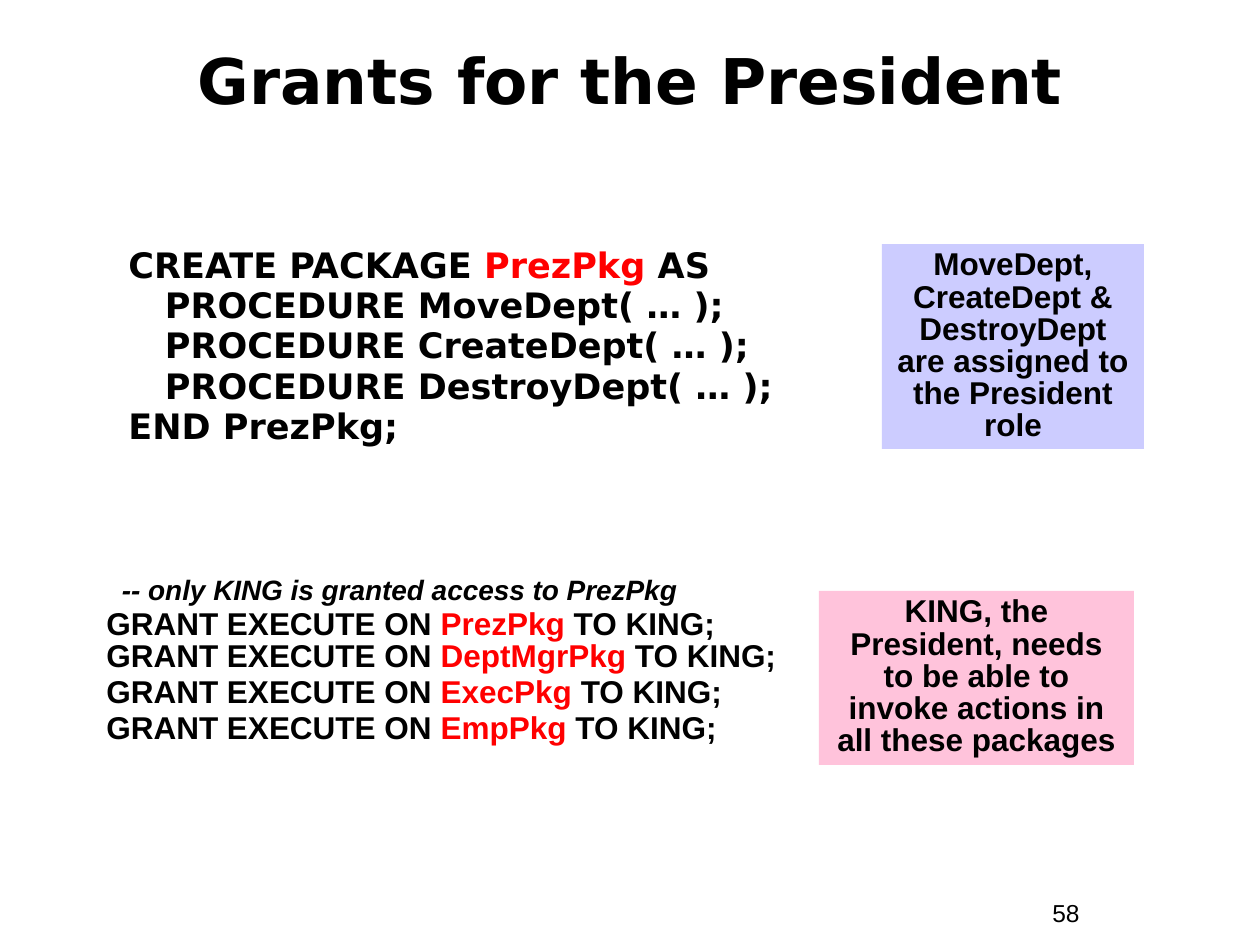
"""Build the slide on package grants for the President."""
import pptx
import pptx.dml.color
import pptx.enum.shapes
import pptx.enum.text
import pptx.util

RGB = pptx.dml.color.RGBColor
BLACK = RGB(0, 0, 0)
RED = RGB(255, 0, 0)
PINK = RGB(255, 195, 219)
BLUE = RGB(204, 204, 255)
SCALE = 914400 / 126
LEFT = pptx.enum.text.PP_ALIGN.LEFT
MID = pptx.enum.text.PP_ALIGN.CENTER
SANS = "DejaVu Sans"


class Deck:
    def __init__(self, wide, high):
        self.show = pptx.Presentation()
        self.show.slide_width, self.show.slide_height = self.emu(wide, high)
        self.slide = self.show.slides.add_slide(self.show.slide_layouts[6])

    def emu(self, *px):
        return [round(n * SCALE) for n in px]

    def runs(self, para, line):
        for num, part in enumerate(line.split("|")):
            for row, words in enumerate(part.split("\n")):
                if row:
                    para.add_line_break()
                run = para.add_run()
                run.text = words
                if num % 2:
                    run.font.color.rgb = RED

    def fill(self, frame, lines, size, face="Arial", bold=True,
             align=LEFT, space=None, gap=0):
        frame.word_wrap = True
        for num, line in enumerate(lines):
            para = frame.paragraphs[0] if num == 0 else frame.add_paragraph()
            para.alignment = align
            if space:
                para.line_spacing = space
            if num:
                para.space_before = pptx.util.Pt(gap)
            para.font.name = face
            para.font.size = pptx.util.Pt(size)
            para.font.bold = bold
            para.font.color.rgb = BLACK
            self.runs(para, line)

    def text(self, box, lines, size, **style):
        frame = self.slide.shapes.add_textbox(*self.emu(*box)).text_frame
        self.fill(frame, lines, size, **style)
        return frame

    def note(self, box, words, shade):
        kind = pptx.enum.shapes.MSO_SHAPE.RECTANGLE
        shape = self.slide.shapes.add_shape(kind, *self.emu(*box))
        shape.shadow.inherit = False
        shape.fill.solid()
        shape.fill.fore_color.rgb = shade
        shape.line.fill.background()
        shape.text_frame.vertical_anchor = pptx.enum.text.MSO_ANCHOR.TOP
        self.fill(shape.text_frame, [words], 18, align=MID, space=0.85)


def grant(name):
    return f"GRANT EXECUTE ON |{name}| TO KING;"


def main():
    deck = Deck(1260, 945)
    deck.text((1040, 892, 116, 43), ["58"], 14, bold=False)
    title = deck.text((42, 21, 1176, 116), ["Grants for the President"], 36,
                      face=SANS, align=MID)
    title.vertical_anchor = pptx.enum.text.MSO_ANCHOR.MIDDLE
    procs = [f"   PROCEDURE {name}Dept( … );"
             for name in ("Move", "Create", "Destroy")]
    deck.text((116, 244, 924, 209),
              ["CREATE PACKAGE |PrezPkg| AS", *procs, "END PrezPkg;"], 20,
              face=SANS, space=0.85, gap=2.5)
    pair = grant("PrezPkg") + "\n" + grant("DeptMgrPkg")
    grants = deck.text((94, 571, 714, 181),
                       ["  -- only KING is granted access to PrezPkg",
                        pair, grant("ExecPkg"), grant("EmpPkg")], 18,
                       space=0.85, gap=2.2)
    head = grants.paragraphs[0].font
    head.size = pptx.util.Pt(16)
    head.italic = True
    deck.note((819, 591, 315, 174), "KING, the President, needs to be able "
              "to invoke actions in all these packages", PINK)
    deck.note((882, 244, 262, 205), "MoveDept, CreateDept &\nDestroyDept\n"
              "are assigned to the President\nrole", BLUE)
    deck.show.save("out.pptx")


if __name__ == "__main__":
    main()
